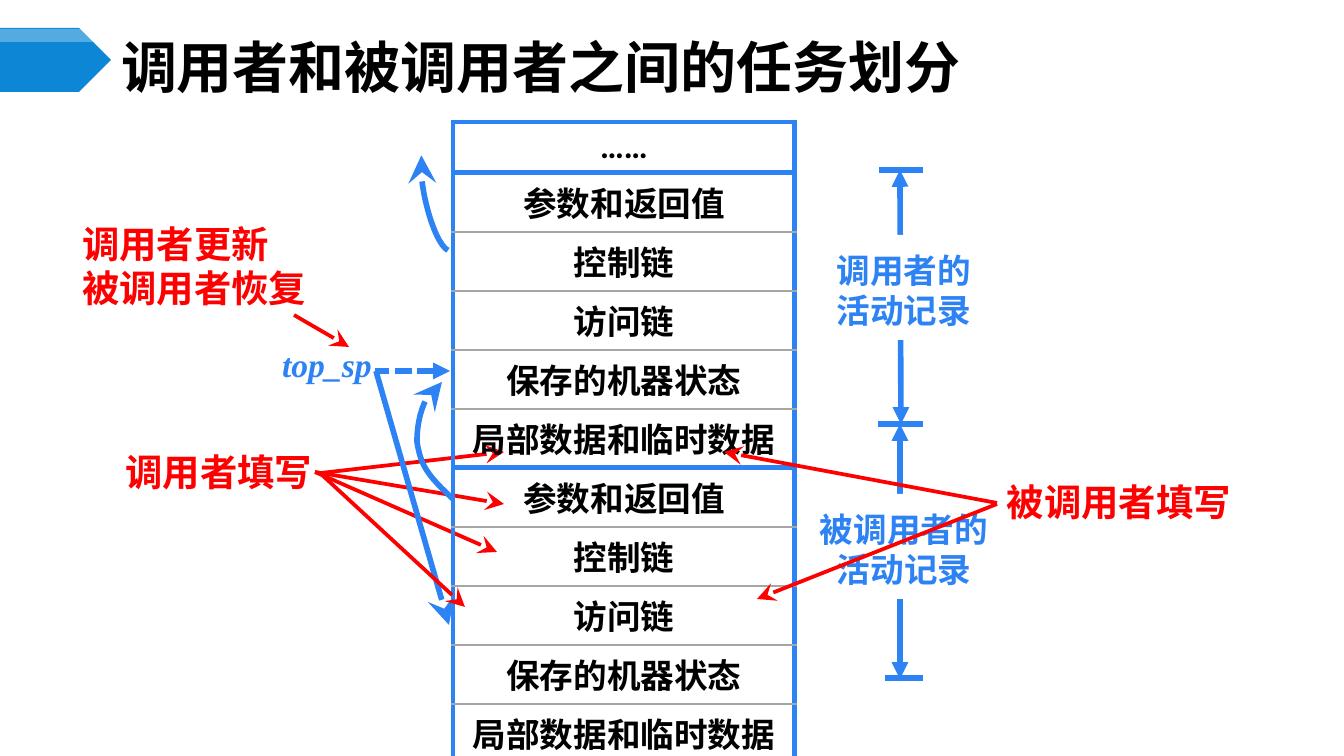
from dataclasses import dataclass

from lxml import etree
from pptx import Presentation
from pptx import util as u
from pptx.dml.color import RGBColor
from pptx.enum import dml, shapes, text
from pptx.oxml.ns import qn

PX = 914400 / 134.4
COLORS = {"blue": "2D83F4", "banner": "0B87D6", "red": "FF0000",
          "black": "000000", "white": "FFFFFF", "gray": "A6A6A6"}
CJK = "Noto Sans CJK SC"
THICK, THIN = 3, 1
Point = tuple[int, int]
Box = tuple[int, int, int, int]


@dataclass
class Arrow:
    start: Point
    end: Point
    color: str = "blue"
    width: int = THICK
    head: str = ""
    tail: str = ""
    dashed: bool = False


@dataclass
class Label:
    words: list[str]
    box: Box
    color: str = "blue"
    size: int = 18
    font: str = CJK
    italic: bool = False
    align: text.PP_ALIGN = text.PP_ALIGN.CENTER
    anchor: text.MSO_ANCHOR = text.MSO_ANCHOR.MIDDLE
    insets: Box = (9, 5, 9, 5)
    wrap: bool = False
    filled: bool = False


def px(*lengths: int) -> list[u.Emu]:
    return [u.Emu(round(length * PX)) for length in lengths]


def rgb(name: str) -> RGBColor:
    return RGBColor.from_string(COLORS[name])


def style(paragraph, size: int, color: str, font: str = CJK, italic: bool = False,
          align: text.PP_ALIGN = text.PP_ALIGN.CENTER) -> None:
    """Format a paragraph, with one typeface for Latin and East Asian text."""
    paragraph.alignment = align
    face = paragraph.font
    face.size, face.bold, face.italic = u.Pt(size), True, italic
    face.color.rgb = rgb(color)
    face.name = font
    defaults = paragraph._p.pPr.find(qn("a:defRPr"))
    etree.SubElement(defaults, qn("a:ea")).set("typeface", font)


def set_insets(frame, insets: Box) -> None:
    (frame.margin_left, frame.margin_top,
     frame.margin_right, frame.margin_bottom) = px(*insets)


def stroke(shape, color: str, width: int, head: str = "", tail: str = "",
           dashed: bool = False) -> None:
    shape.line.color.rgb = rgb(color)
    shape.line.width = u.Pt(width)
    if dashed:
        shape.line.dash_style = dml.MSO_LINE.SQUARE_DOT
    ln = shape.element.spPr.find(qn("a:ln"))
    for tag, kind in (("a:headEnd", head), ("a:tailEnd", tail)):
        if kind:
            size = "lg" if kind == "stealth" else "med"
            etree.SubElement(ln, qn(tag), type=kind, w=size, len=size)


def draw_arrow(slide, arrow: Arrow) -> None:
    line = slide.shapes.add_connector(
        shapes.MSO_CONNECTOR.STRAIGHT, *px(*arrow.start, *arrow.end))
    stroke(line, arrow.color, arrow.width, arrow.head, arrow.tail, arrow.dashed)
    etree.SubElement(line.element.spPr, qn("a:effectLst"))


def draw_label(slide, label: Label) -> None:
    if label.filled:
        holder = slide.shapes.add_shape(shapes.MSO_SHAPE.RECTANGLE, *px(*label.box))
        holder.shadow.inherit = False
        holder.fill.solid()
        holder.fill.fore_color.rgb = rgb("white")
        holder.line.fill.background()
    else:
        holder = slide.shapes.add_textbox(*px(*label.box))
    frame = holder.text_frame
    frame.word_wrap = label.wrap
    frame.vertical_anchor = label.anchor
    set_insets(frame, label.insets)
    frame.text = "\n".join(label.words)
    for paragraph in frame.paragraphs:
        style(paragraph, label.size, label.color, label.font, label.italic, label.align)


def draw_banner(slide, box: Box, color: str, alpha: int = 100) -> None:
    plate = slide.shapes.add_shape(shapes.MSO_SHAPE.PENTAGON, *px(*box))
    plate.shadow.inherit = False
    plate.line.fill.background()
    plate.fill.solid()
    plate.fill.fore_color.rgb = rgb(color)
    if alpha < 100:
        shade = plate.element.spPr.find(qn("a:solidFill"))[0]
        etree.SubElement(shade, qn("a:alpha")).set("val", str(alpha * 1000))


def set_border(cell, side: str, color: str, width: int) -> None:
    ln = etree.SubElement(cell._tc.get_or_add_tcPr(), qn(f"a:ln{side}"))
    ln.set("w", str(u.Pt(width)))
    fill = etree.SubElement(ln, qn("a:solidFill"))
    etree.SubElement(fill, qn("a:srgbClr")).set("val", COLORS[color])


def draw_stack(slide, blocks: list[list[str]], left: int, top: int, width: int,
               gap_height: int, field_height: int) -> None:
    """One row per field, with a thick rule around each block."""
    fields = [field for block in blocks for field in block]
    edges = {sum(map(len, blocks[:i])) for i in range(len(blocks) + 1)}
    heights = [gap_height if field == "……" else field_height for field in fields]
    table = slide.shapes.add_table(
        len(fields), 1, *px(left, top, width, sum(heights))).table
    table.first_row = table.horz_banding = False
    for row, field in enumerate(fields):
        table.rows[row].height = px(heights[row])[0]
        cell = table.cell(row, 0)
        set_insets(cell, (11, 5, 11, 5))
        cell.text = field
        style(cell.text_frame.paragraphs[0], 18, "black",
              "Calibri" if field == "……" else CJK)
        for side in "LR":
            set_border(cell, side, "blue", THICK)
        for side, edge in (("T", row), ("B", row + 1)):
            rule = ("blue", THICK) if edge in edges else ("gray", THIN)
            set_border(cell, side, *rule)
        cell.fill.background()


def bezier(p0: Point, p1: Point, p2: Point, p3: Point, steps: int = 12) -> list[Point]:
    """Points along a cubic curve, without its start."""
    def at(t: float, axis: int) -> int:
        s = 1 - t
        return round(PX * (s**3 * p0[axis] + 3 * s * s * t * p1[axis]
                           + 3 * s * t * t * p2[axis] + t**3 * p3[axis]))
    return [(at(i / steps, 0), at(i / steps, 1)) for i in range(1, steps + 1)]


def draw_control_links(slide) -> None:
    arc = slide.shapes.add_shape(shapes.MSO_SHAPE.ARC, *px(425, 142, 28, 110))
    arc.adjustments[0], arc.adjustments[1] = 168.31, 52.3
    arc.rotation = 167.6
    arc.element.spPr.find(qn("a:xfrm")).set("flipV", "1")
    stroke(arc, "blue", THICK, head="stealth")

    bottom, middle, tip = (453, 499), (417, 442), (442, 382)
    builder = slide.shapes.build_freeform(*px(*bottom))
    builder.add_line_segments(
        bezier(bottom, (426, 474), (421, 465), middle)
        + bezier(middle, (417, 423), (422, 394), tip), close=False)
    curve = builder.convert_to_shape()
    stroke(curve, "blue", THICK, tail="stealth")
    for link in (arc, curve):
        link.shadow.inherit = False
        link.fill.background()


def red_arrow(start: Point, end: Point) -> Arrow:
    return Arrow(start, end, "red", 2, tail="stealth")


RECORD = ["参数和返回值", "控制链", "访问链", "保存的机器状态", "局部数据和临时数据"]
BLOCKS = [["……"], RECORD, RECORD]
TASKS = [
    Label(["调用者填写"], (114, 452, 210, 40), "red", 20),
    Label(["被调用者填写"], (995, 462, 248, 79), "red", 20),
    Label(["调用者更新", "被调用者恢复"], (73, 226, 248, 79), "red", 20,
          align=text.PP_ALIGN.LEFT),
]
ARROWS_BEHIND = [
    red_arrow((321, 473), (504, 452)),
    red_arrow((315, 472), (504, 504)),
    red_arrow((294, 315), (349, 347)),
    red_arrow((315, 472), (497, 552)),
    Arrow((376, 371), (449, 625), tail="stealth"),
]
SPANS = [
    Arrow((900, 679), (900, 424), head="triangle", tail="triangle"),
    Arrow((901, 424), (900, 170), head="triangle", tail="triangle"),
    *(Arrow((923, y), (x, y)) for x, y in ((879, 170), (878, 424), (885, 678))),
    Arrow((450, 371), (375, 371), head="triangle", dashed=True),
]
NAMES = [
    Label(["top_sp"], (259, 332, 136, 79), font="Times New Roman", italic=True,
          anchor=text.MSO_ANCHOR.TOP, insets=(13, 12, 13, 7), wrap=True),
    Label(["被调用者的活动记录"], (818, 494, 172, 105), insets=(0, 12, 0, 7),
          wrap=True, filled=True),
    Label(["调用者的活动记录"], (814, 235, 180, 105), insets=(13, 12, 13, 7),
          wrap=True, filled=True),
]
ARROWS_FRONT = [
    red_arrow((997, 504), (757, 599)),
    red_arrow((997, 503), (724, 452)),
    red_arrow((321, 474), (465, 607)),
]


def main() -> None:
    deck = Presentation()
    deck.slide_width, deck.slide_height = px(1344, 756)
    slide = deck.slides.add_slide(deck.slide_layouts[5])

    draw_banner(slide, (0, 28, 111, 64), "banner")
    draw_banner(slide, (0, 29, 111, 13), "white", alpha=30)
    title = slide.shapes.title
    title.left, title.top, title.width, title.height = px(112, 40, 1165, 52)
    heading = title.text_frame
    heading.text = "调用者和被调用者之间的任务划分"
    heading.auto_size = text.MSO_AUTO_SIZE.NONE
    heading.vertical_anchor = text.MSO_ANCHOR.MIDDLE
    set_insets(heading, (9, 5, 9, 5))
    style(heading.paragraphs[0], 30, "black", align=text.PP_ALIGN.LEFT)

    for task in TASKS:
        draw_label(slide, task)
    for arrow in ARROWS_BEHIND:
        draw_arrow(slide, arrow)
    draw_stack(slide, BLOCKS, left=453, top=122, width=342,
               gap_height=51, field_height=59)
    draw_control_links(slide)
    for arrow in SPANS:
        draw_arrow(slide, arrow)
    for name in NAMES:
        draw_label(slide, name)
    for arrow in ARROWS_FRONT:
        draw_arrow(slide, arrow)
    deck.save("out.pptx")


if __name__ == "__main__":
    main()
